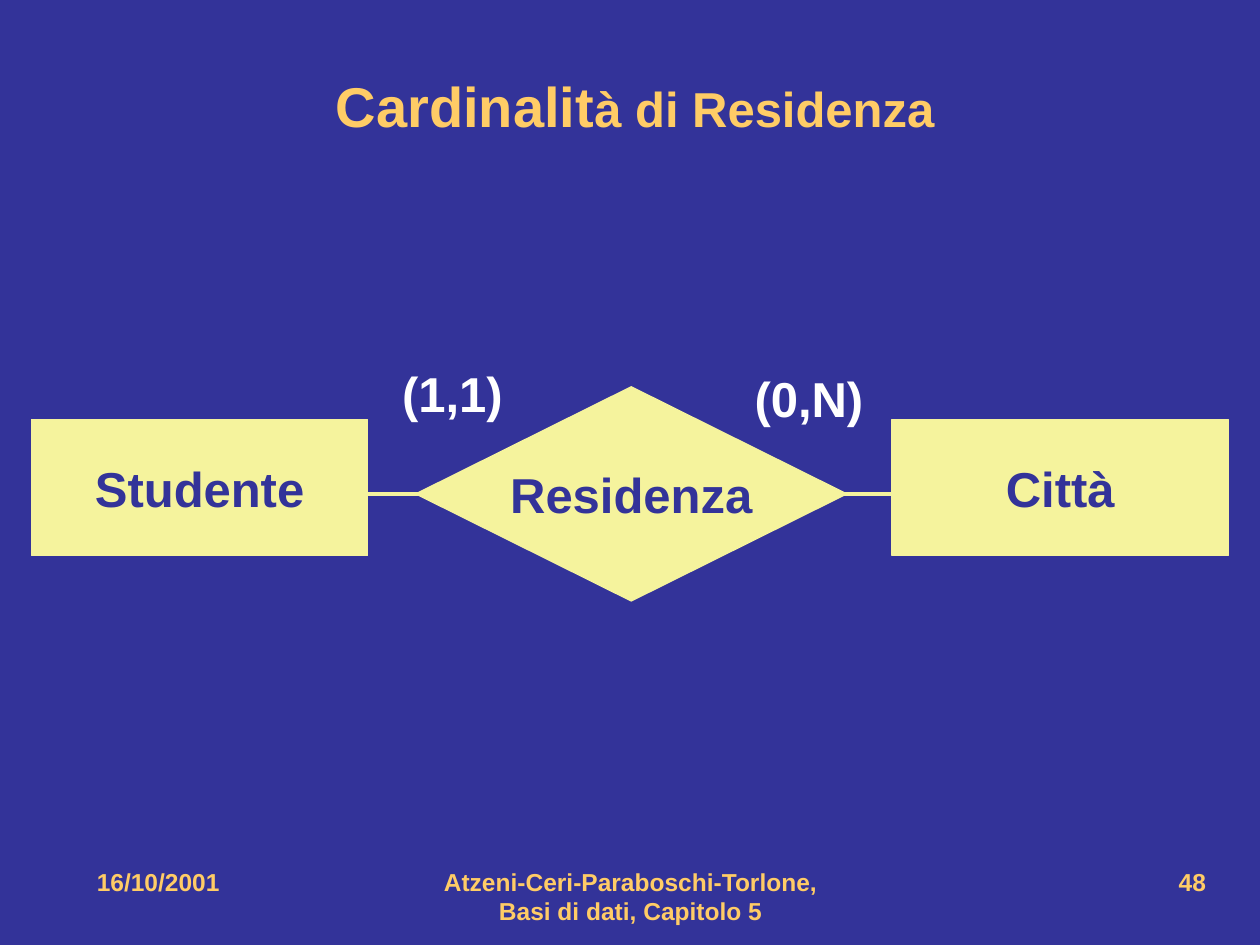
"""Build the slide on the cardinalities of the Residenza relationship."""
from typing import NamedTuple

from pptx import Presentation
from pptx import util as u
from pptx.dml.color import RGBColor
from pptx.enum import shapes, text
from pptx.oxml.ns import qn
from lxml import etree

COLOURS = {"ground": "333399", "heading": "FFCC66", "entity": "F5F39D", "label": "FFFFFF"}
ALIGN = text.PP_ALIGN
ANCHOR = text.MSO_ANCHOR
SHAPE = shapes.MSO_SHAPE


class Area(NamedTuple):
    left: float
    top: float
    width: float
    height: float

    def lengths(self) -> list:
        return [u.Inches(value) for value in self]


class Node(NamedTuple):
    name: str
    kind: SHAPE
    area: Area


class Label(NamedTuple):
    words: str
    area: Area


class Footer(NamedTuple):
    words: str
    area: Area
    align: ALIGN


NODES = [
    Node("Residenza", SHAPE.DIAMOND, Area(3.3, 3.07, 3.42, 1.7)),
    Node("Studente", SHAPE.RECTANGLE, Area(0.25, 3.33, 2.67, 1.08)),
    Node("Città", SHAPE.RECTANGLE, Area(7.08, 3.33, 2.67, 1.08)),
]
CARDINALITIES = [
    Label("(1,1)", Area(3.09, 2.83, 1, 0.57)),
    Label("(0,N)", Area(5.89, 2.87, 1.06, 0.57)),
]
FOOTERS = [
    Footer("Atzeni-Ceri-Paraboschi-Torlone, Basi di dati, Capitolo 5",
           Area(3.42, 6.83, 3.17, 0.5), ALIGN.CENTER),
    Footer("48", Area(7.17, 6.83, 2.5, 0.5), ALIGN.RIGHT),
    Footer("16/10/2001", Area(0.67, 6.83, 2.17, 0.5), ALIGN.LEFT),
]


def colour(name: str) -> RGBColor:
    return RGBColor.from_string(COLOURS[name])


def write(box, words: str, *, size: float = 28, tint: str = "heading", align=ALIGN.CENTER,
          anchor=ANCHOR.MIDDLE, wrap: bool = True) -> None:
    frame = box.text_frame
    frame.word_wrap = wrap
    frame.vertical_anchor = anchor
    para = frame.paragraphs[0]
    para.alignment = align
    span = para.add_run()
    span.text = words
    span.font.name = "Arial"
    span.font.size = u.Pt(size)
    span.font.bold = True
    span.font.color.rgb = colour(tint)


def draw_title(page) -> None:
    title = page.shapes.title
    title.left, title.top, title.width, title.height = Area(0.5, 0.25, 9.08, 1.17).lengths()
    write(title, "Cardinalit", size=32)
    write(title, "à di Residenza")


def draw_link(page, start: float, end: float, height: float) -> None:
    link = page.shapes.add_connector(
        shapes.MSO_CONNECTOR.STRAIGHT,
        *[u.Inches(value) for value in (start, height, end, height)])
    link.line.color.rgb = colour("entity")
    link.line.width = u.Pt(2.25)
    etree.SubElement(link.element.spPr, qn("a:effectLst"))


def draw_node(page, node: Node) -> None:
    box = page.shapes.add_shape(node.kind, *node.area.lengths())
    box.shadow.inherit = False
    box.fill.solid()
    box.fill.fore_color.rgb = colour("entity")
    box.line.color.rgb = colour("entity")
    box.line.width = u.Pt(0.75)
    write(box, node.name, tint="ground", wrap=False)


def draw_cardinality(page, label: Label) -> None:
    box = page.shapes.add_textbox(*label.area.lengths())
    write(box, label.words, tint="label", wrap=False)


def draw_footer(page, footer: Footer) -> None:
    box = page.shapes.add_textbox(*footer.area.lengths())
    write(box, footer.words, size=14, align=footer.align, anchor=ANCHOR.TOP)


def main() -> None:
    deck = Presentation()
    deck.slide_width, deck.slide_height = u.Inches(10), u.Inches(7.5)
    page = deck.slides.add_slide(deck.slide_layouts.get_by_name("Title Only"))
    page.background.fill.solid()
    page.background.fill.fore_color.rgb = colour("ground")
    draw_title(page)
    draw_link(page, 2.75, 7.33, 3.92)
    for node in NODES:
        draw_node(page, node)
    for label in CARDINALITIES:
        draw_cardinality(page, label)
    for footer in FOOTERS:
        draw_footer(page, footer)
    deck.save("out.pptx")


if __name__ == "__main__":
    main()
